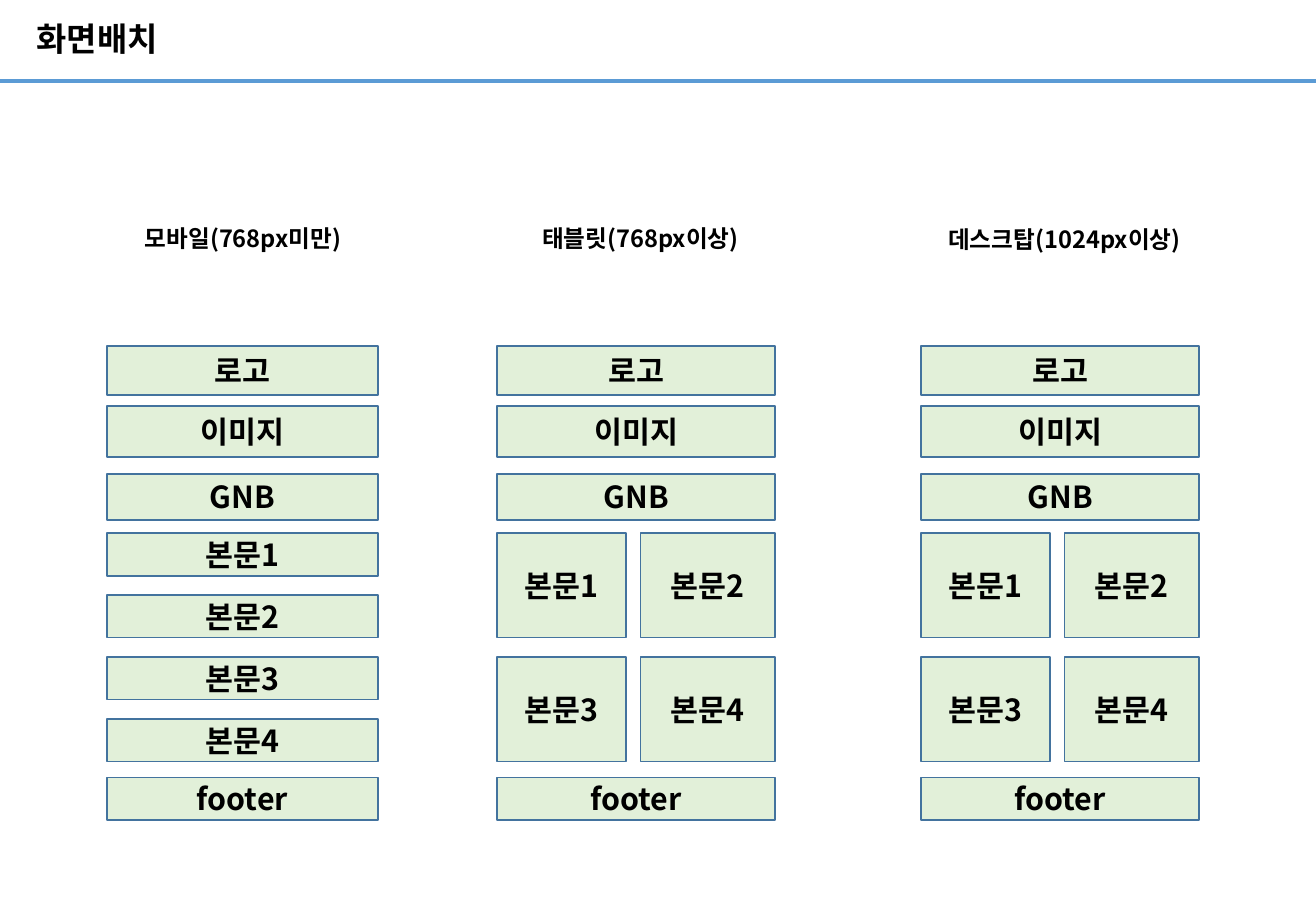
from lxml.etree import SubElement
from pptx import Presentation
from pptx.dml.color import RGBColor
from pptx.enum.shapes import MSO_CONNECTOR, MSO_SHAPE
from pptx.enum.text import MSO_ANCHOR, PP_ALIGN
from pptx.oxml.ns import qn
from pptx.util import Inches, Pt

SLIDE_WIDTH, SLIDE_HEIGHT = 10.83, 7.5
KOREAN_FONT = "Noto Sans CJK KR"
HEADER_ROWS = [("로고", 2.85, 0.4), ("이미지", 3.34, 0.42), ("GNB", 3.9, 0.38)]
BODY_TOP, BODY_PITCH, BODY_HEIGHT = 4.39, 0.51, 0.35
BODY_LABELS = ["본문1", "본문2", "본문3", "본문4"]
FOOTER_ROW = ("footer", 6.4, 0.35)
FULL_WIDTH = [(0, 2.23)]
TWO_COLUMNS = [(0, 1.06), (1.18, 1.11)]
SCREENS = [
    ("모바일(768px미만)", (0.96, 1.76, 2.08, 0.4), 0.88, 2.23, FULL_WIDTH),
    ("태블릿(768px이상)", (4.33, 1.76, 1.88, 0.4), 4.09, 2.29, TWO_COLUMNS),
    ("데스크탑(1024px이상)", (7.69, 1.77, 2.14, 0.4), 7.58, 2.29, TWO_COLUMNS),
]


def color(hex_code):
    """Return the colour for a hex string."""
    return RGBColor.from_string(hex_code)


def write(holder, label, size, font_name=KOREAN_FONT, align=PP_ALIGN.CENTER):
    """Write one bold, vertically centred paragraph."""
    frame = holder.text_frame
    frame.word_wrap = True
    frame.vertical_anchor = MSO_ANCHOR.MIDDLE
    paragraph = frame.paragraphs[0]
    paragraph.text = label
    paragraph.alignment = align
    font = paragraph.font
    font.name, font.size, font.bold = font_name, Pt(size), True
    font.color.rgb = color("000000")
    defaults = paragraph._p.get_or_add_pPr().find(qn("a:defRPr"))
    SubElement(defaults, qn("a:ea")).set("typeface", KOREAN_FONT)
    return frame


def add_heading(slide, label):
    """Add the slide heading and the rule below it."""
    heading = slide.shapes.add_textbox(Inches(0.3), 0, Inches(7.09), Inches(0.68))
    frame = write(heading, label, 19.5, "Arial", PP_ALIGN.LEFT)
    frame.margin_left = frame.margin_right = 0
    frame.margin_top = frame.margin_bottom = 0
    frame.paragraphs[0].line_spacing = 0.9
    rule_y = Inches(0.67)
    rule = slide.shapes.add_connector(
        MSO_CONNECTOR.STRAIGHT, 0, rule_y, Inches(SLIDE_WIDTH), rule_y)
    rule.line.color.rgb = color("5B9BD5")
    rule.line.width = Pt(2.25)
    SubElement(rule._element.spPr, qn("a:effectLst"))


def add_block(slide, label, left, top, width, height):
    """Add one labelled layout block."""
    block = slide.shapes.add_shape(
        MSO_SHAPE.RECTANGLE, *map(Inches, (left, top, width, height)))
    block.shadow.inherit = False
    block.fill.solid()
    block.fill.fore_color.rgb = color("E2F0D9")
    block.line.color.rgb = color("43739E")
    block.line.width = Pt(1)
    write(block, label, 18)


def add_screen(slide, caption, caption_box, left, width, columns):
    """Add the caption and blocks of one screen layout."""
    write(slide.shapes.add_textbox(*map(Inches, caption_box)), caption, 14)
    for label, top, height in HEADER_ROWS + [FOOTER_ROW]:
        add_block(slide, label, left, top, width, height)
    row_span = len(columns)
    height = BODY_HEIGHT + (row_span - 1) * BODY_PITCH
    for index, label in enumerate(BODY_LABELS):
        row, column = divmod(index, len(columns))
        offset, column_width = columns[column]
        top = BODY_TOP + row * row_span * BODY_PITCH
        add_block(slide, label, left + offset, top, column_width, height)


def main():
    """Build the screen layout slide."""
    presentation = Presentation()
    presentation.slide_width = Inches(SLIDE_WIDTH)
    presentation.slide_height = Inches(SLIDE_HEIGHT)
    slide = presentation.slides.add_slide(presentation.slide_layouts[6])
    add_heading(slide, "화면배치")
    for screen in SCREENS:
        add_screen(slide, *screen)
    presentation.save("out.pptx")


main()
